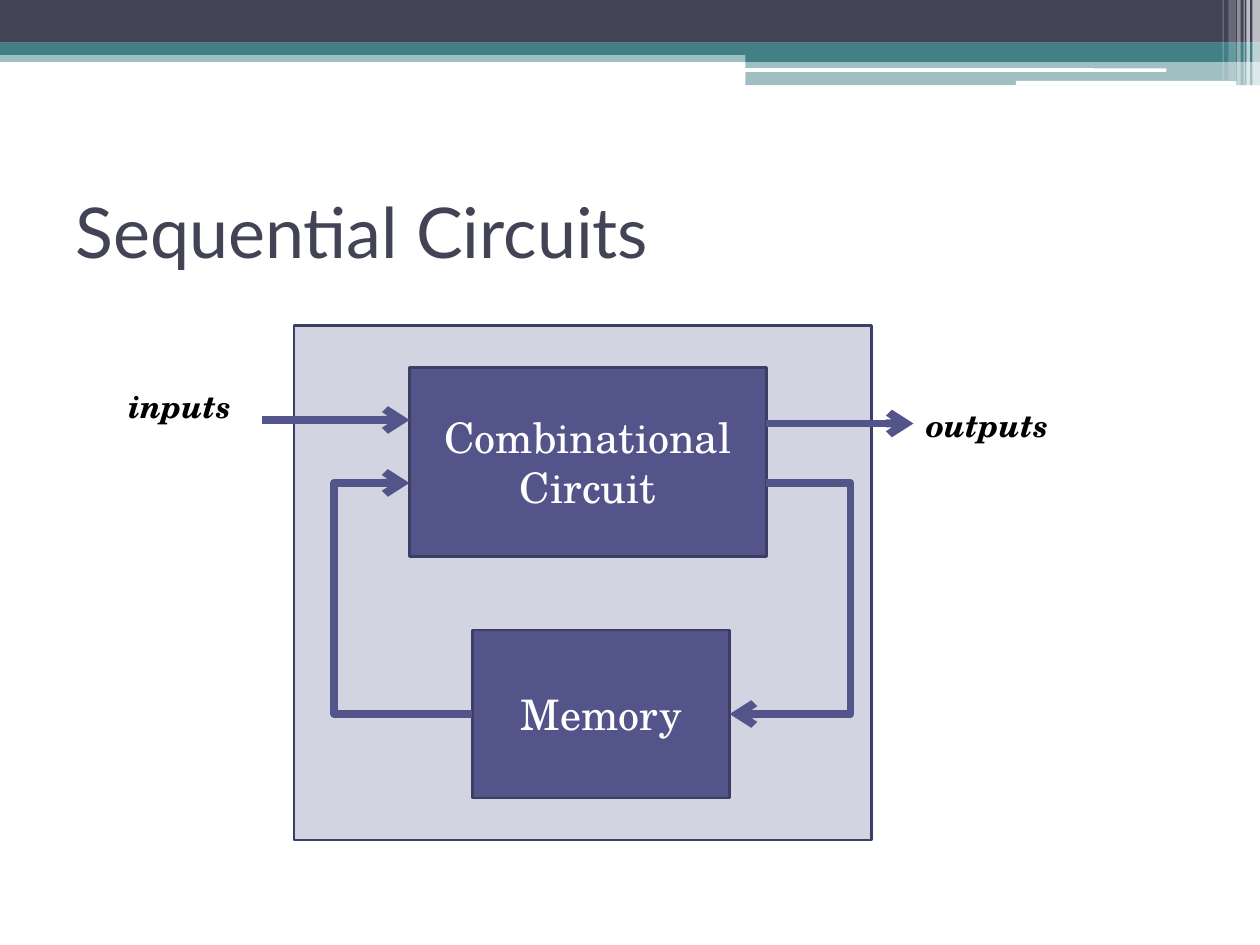
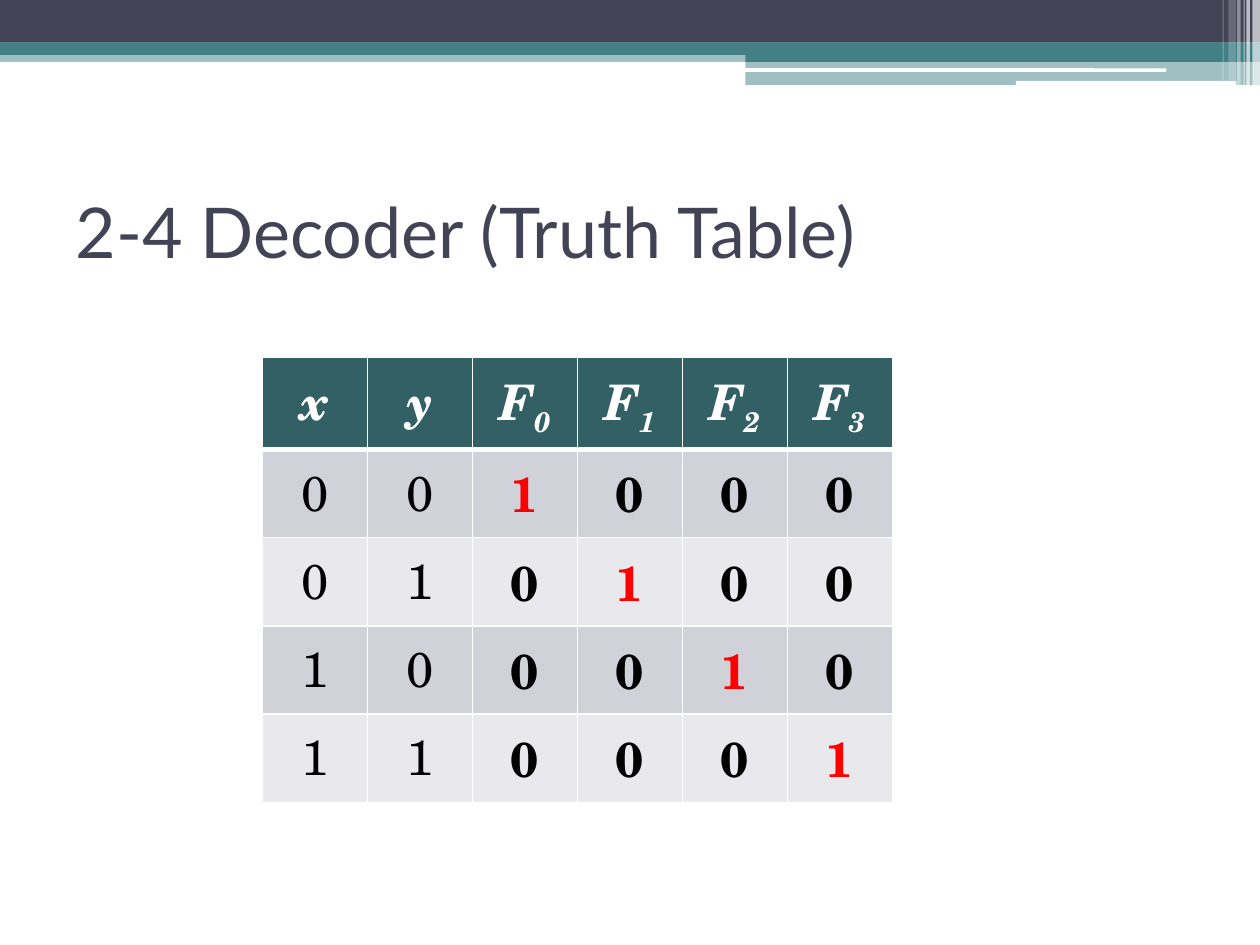
from dataclasses import dataclass

from lxml import etree
from pptx import Presentation
from pptx.dml.color import RGBColor
from pptx.enum import shapes, text
from pptx.oxml import ns
from pptx.util import Pt


@dataclass(frozen=True)
class Theme:
    """Colours, fonts and type sizes of the deck."""
    ink: str = "424456"
    teal: str = "438086"
    white: str = "FFFFFF"
    black: str = "000000"
    violet: str = "53548A"
    outline: str = "3D3E66"
    header: str = "326065"
    stripes: tuple = ("D1D1DA", "E9E9ED")
    active: str = "FF0000"
    title_font: str = "Lato"
    body_font: str = "TeX Gyre Schola"
    title_size: int = 40
    block_size: int = 24
    label_size: int = 18
    cell_size: int = 28


def apply(target, values):
    """Set each named attribute of the target."""
    for name, value in values.items():
        setattr(target, name, value)


def points(*lengths):
    """Convert numbers to lengths in points."""
    return [Pt(length) for length in lengths]


def add_xml(parent, tag, **attributes):
    """Append a drawing element with the given attributes."""
    return etree.SubElement(parent, ns.qn(tag), attributes)


class SlideWriter:
    """Draw styled elements on the current page."""

    def __init__(self, deck, theme):
        """Keep the deck and its theme."""
        self.deck = deck
        self.theme = theme
        self.page = None

    def start(self, heading):
        """Add a page with its bands and title."""
        self.page = self.deck.slides.add_slide(self.deck.slide_layouts[5])
        self.bands()
        left, top, width, height = points(36, 90, 648, 84)
        box = self.page.shapes.title
        apply(box, dict(left=left, top=top, width=width, height=height))
        frame = box.text_frame
        apply(frame, dict(auto_size=text.MSO_AUTO_SIZE.NONE,
                          vertical_anchor=text.MSO_ANCHOR.MIDDLE))
        para = frame.paragraphs[0]
        para.alignment = text.PP_ALIGN.LEFT
        self.span(para, heading, self.theme.ink, self.theme.title_size,
                  name=self.theme.title_font)

    def span(self, para, words, color, size, **style):
        """Add one formatted run to a paragraph."""
        span = para.add_run()
        span.text = words
        apply(span.font, dict(name=self.theme.body_font, size=Pt(size)) | style)
        span.font.color.rgb = RGBColor.from_string(color)
        return span

    def rectangle(self, place, color, alpha=100, line=None, rounded=False):
        """Add a filled rectangle, square or rounded."""
        kind = shapes.MSO_SHAPE.ROUNDED_RECTANGLE if rounded else shapes.MSO_SHAPE.RECTANGLE
        box = self.page.shapes.add_shape(kind, *points(*place))
        box.shadow.inherit = False
        box.fill.solid()
        box.fill.fore_color.rgb = RGBColor.from_string(color)
        if alpha < 100:
            tint = box.fill._xPr.find(".//" + ns.qn("a:srgbClr"))
            add_xml(tint, "a:alpha", val=str(alpha * 1000))
        if line:
            box.line.width = Pt(1.5)
            box.line.color.rgb = RGBColor.from_string(line)
        else:
            box.line.fill.background()
        return box

    def bands(self):
        """Draw the coloured bands and corner stripes at the top."""
        theme = self.theme
        for place, color, alpha in (
                ((0, 28.8, 720, 6.6), theme.teal, 50),
                ((0, 0, 720, 24.4), theme.ink, 100),
                ((0, 24.2, 720, 7.2), theme.teal, 100),
                ((426, 28.2, 294, 7.2), theme.teal, 100),
                ((426, 35.2, 294, 13.5), theme.teal, 50)):
            self.rectangle(place, color, alpha)
        for place in ((425.5, 39, 241, 2), (580.5, 46.2, 126, 2.6)):
            self.rectangle(place, theme.white, rounded=True)
        for left, width, height, alpha in (
                (715.6, 4.4, 49, 65), (712.2, 2, 49, 65), (710.6, 0.7, 49, 60),
                (707, 2, 49, 40), (702, 4.3, 46, 20), (698.6, 0.7, 46, 30)):
            self.rectangle((left, 0, width, height), theme.white, alpha)

    def block(self, place, words):
        """Add an outlined block with centred text."""
        box = self.rectangle(place, self.theme.violet, line=self.theme.outline)
        apply(box.text_frame, dict(word_wrap=True,
                                   vertical_anchor=text.MSO_ANCHOR.MIDDLE))
        para = box.text_frame.paragraphs[0]
        para.alignment = text.PP_ALIGN.CENTER
        self.span(para, words, self.theme.white, self.theme.block_size)

    def label(self, place, words):
        """Add a bold italic label."""
        frame = self.page.shapes.add_textbox(*points(*place)).text_frame
        apply(frame, dict(word_wrap=False,
                          auto_size=text.MSO_AUTO_SIZE.SHAPE_TO_FIT_TEXT))
        self.span(frame.paragraphs[0], words, self.theme.black,
                  self.theme.label_size, bold=True, italic=True)

    def arrow(self, begin, end, bend=None):
        """Add an arrow, straight or turning at the bend's x position."""
        kind = shapes.MSO_CONNECTOR.STRAIGHT if bend is None else shapes.MSO_CONNECTOR.ELBOW
        arrow = self.page.shapes.add_connector(kind, *points(*begin, *end))
        arrow.line.width = Pt(4.5)
        arrow.line.color.rgb = RGBColor.from_string(self.theme.violet)
        add_xml(arrow.line._get_or_add_ln(), "a:tailEnd", type="arrow")
        properties = arrow._element.spPr
        add_xml(properties, "a:effectLst")
        if bend is not None:
            ratio = (bend - begin[0]) / (end[0] - begin[0])
            guides = properties.find(".//" + ns.qn("a:avLst"))
            add_xml(guides, "a:gd", name="adj1", fmla=f"val {round(ratio * 100000)}")

    def cell(self, cell, color, top, bottom):
        """Fill a cell, draw its borders and return its paragraph."""
        properties = cell._tc.get_or_add_tcPr()
        for side, width in (("L", 1), ("R", 1), ("T", top), ("B", bottom)):
            line = add_xml(properties, f"a:ln{side}", w=str(Pt(width)))
            add_xml(add_xml(line, "a:solidFill"), "a:srgbClr", val=self.theme.white)
        cell.fill.solid()
        cell.fill.fore_color.rgb = RGBColor.from_string(color)
        para = cell.text_frame.paragraphs[0]
        para.alignment = text.PP_ALIGN.CENTER
        return para

    def truth_table(self, place, inputs, outputs):
        """Add a decoder table whose active output follows the row number."""
        theme = self.theme
        names = inputs + outputs
        count = 2 ** len(inputs)
        table = self.page.shapes.add_table(count + 1, len(names), *points(*place)).table
        for column, name in enumerate(names):
            para = self.cell(table.cell(0, column), theme.header, 1, 3)
            for part in name:
                span = self.span(para, part, theme.white, theme.cell_size,
                                 bold=True, italic=True)
                if part.isdigit():
                    span.font._element.set("baseline", "-25000")
        for row in range(count):
            bits = f"{row:0{len(inputs)}b}"
            for column in range(len(names)):
                para = self.cell(table.cell(row + 1, column), theme.stripes[row % 2],
                                 1 if row else 3, 1)
                output = column - len(inputs)
                active = output == row
                value = bits[column] if output < 0 else str(int(active))
                self.span(para, value, theme.active if active else theme.black,
                          theme.cell_size, bold=output >= 0)


def main():
    """Build and save the deck."""
    deck = Presentation()
    apply(deck, dict(slide_width=Pt(720), slide_height=Pt(540)))
    theme = Theme()
    writer = SlideWriter(deck, theme)

    writer.start("Sequential Circuits")
    writer.rectangle((168, 186, 330, 294), theme.violet, 25, theme.outline)
    writer.block((234, 210, 204, 108), "Combinational Circuit")
    writer.arrow((150, 240), (234, 240))
    writer.label((66, 217.5, 75, 29), "inputs")
    writer.arrow((438, 242), (522, 242))
    writer.label((522, 228.5, 88, 29), "outputs")
    writer.block((270, 360, 147, 96), "Memory")
    writer.arrow((438, 276), (417, 408), bend=486)
    writer.arrow((270, 408), (234, 276), bend=191)

    writer.start("2-4 Decoder (Truth Table)")
    writer.truth_table((150, 204, 360, 222.5), ["x", "y"], ["F0", "F1", "F2", "F3"])

    deck.save("out.pptx")


if __name__ == "__main__":
    main()
